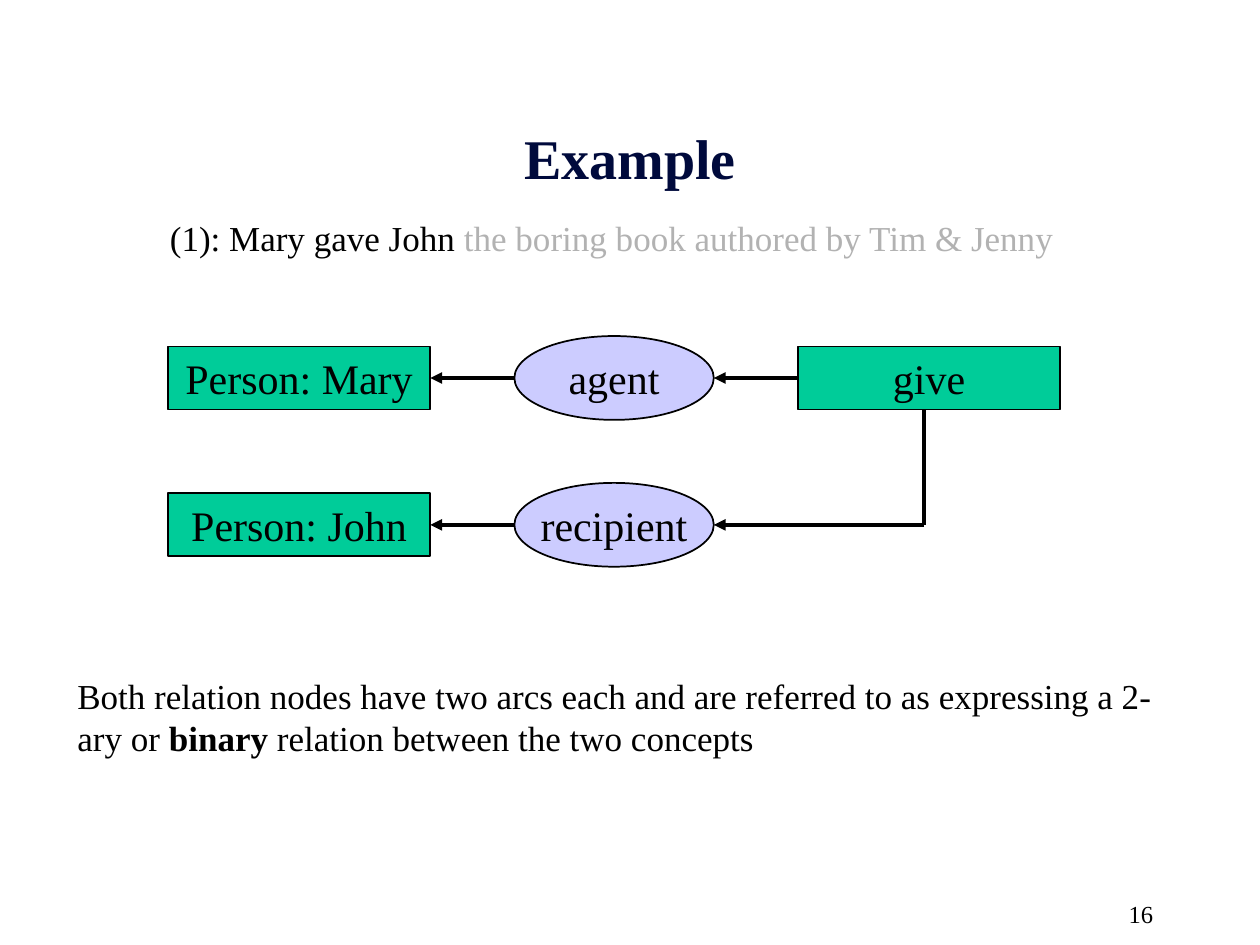
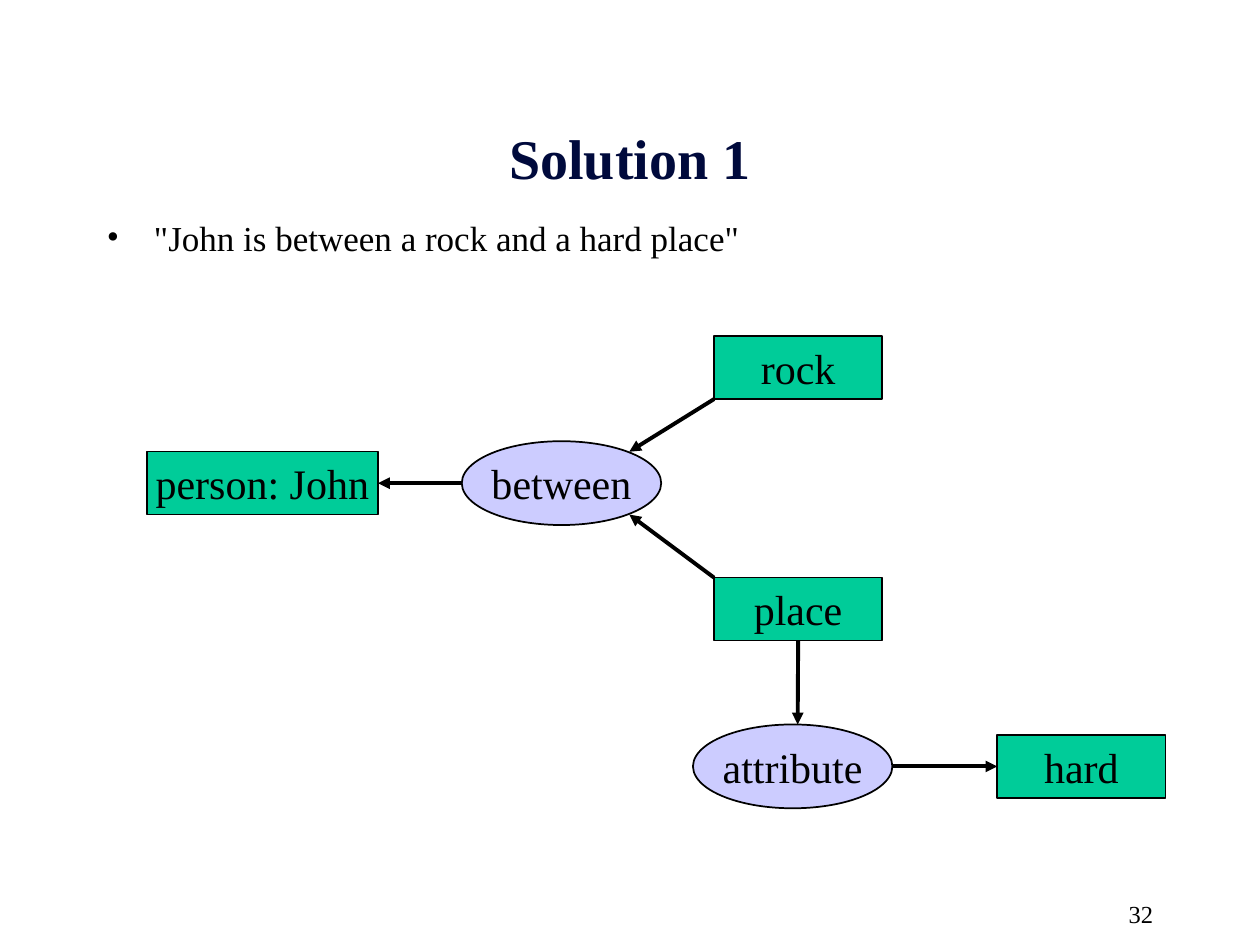
"""Build two slides that draw sentences as conceptual graphs."""
from dataclasses import dataclass

from lxml.etree import SubElement
from pptx import Presentation
from pptx.dml.color import RGBColor
from pptx.enum.shapes import MSO_CONNECTOR as Link, MSO_SHAPE as Preset
from pptx.enum.text import MSO_ANCHOR as Anchor, MSO_AUTO_SIZE as Fit, PP_ALIGN as Align
from pptx.oxml.ns import qn
from pptx.util import Cm, Pt

COLOURS = {
    "ink": "000000",
    "title": "000A3C",
    "muted": "B2B2B2",
    "concept": "00CC99",
    "relation": "CCCCFF",
}
FONT = "Times New Roman"
BODY_LAYOUT = 1
NODE_HEIGHT = 1.27
RELATION_WIDTH, RELATION_HEIGHT = 4.02, 1.69
CORNER = (0.68, 0.75)

Point = tuple[float, float]


@dataclass(frozen=True)
class Span:
    text: str
    colour: str = "ink"
    bold: bool = False


@dataclass(frozen=True)
class Node:
    label: str
    x: float
    y: float
    width: float
    height: float = NODE_HEIGHT
    preset: Preset = Preset.RECTANGLE
    fill: str = "concept"

    def point(self, across: float, down: float) -> Point:
        return self.x + across * self.width / 2, self.y + down * self.height / 2


@dataclass(frozen=True)
class Arc:
    start: Point
    end: Point
    arrow: bool = True


def relation(label: str, x: float, y: float) -> Node:
    return Node(label, x, y, RELATION_WIDTH, RELATION_HEIGHT, Preset.OVAL, "relation")


def rgb(name: str) -> RGBColor:
    return RGBColor.from_string(COLOURS[name])


def write(frame, *spans: Span, size: float, align=Align.LEFT, anchor=Anchor.TOP,
          wrap: bool = True, before: float = 0):
    frame.auto_size = Fit.NONE
    frame.word_wrap = wrap
    frame.vertical_anchor = anchor
    para = frame.paragraphs[0]
    para.alignment = align
    para.space_before = Pt(before)
    for span in spans:
        run = para.add_run()
        run.text = span.text
        run.font.name = FONT
        run.font.size = Pt(size)
        run.font.bold = span.bold
        run.font.color.rgb = rgb(span.colour)
    return para


def place(box, left: float, top: float, width: float, height: float) -> None:
    box.left, box.top, box.width, box.height = map(Cm, (left, top, width, height))


def write_sentence(page, *spans: Span, margin: float, indent: float,
                   level: int = 0, bullet: str = "") -> None:
    body = page.placeholders[1]
    place(body, 1.9, 4.23, 21.6, 13.55)
    para = write(body.text_frame, *spans, size=20, before=5)
    para.level = level
    props = para._p.get_or_add_pPr()
    props.set("marL", str(Cm(margin)))
    props.set("indent", str(Cm(indent)))
    if bullet:
        SubElement(props, qn("a:buFont")).set("typeface", FONT)
        SubElement(props, qn("a:buChar")).set("char", bullet)
    else:
        SubElement(props, qn("a:buNone"))


def add_text(page, *spans: Span, at: tuple[float, float, float, float],
             size: float, align=Align.LEFT) -> None:
    box = page.shapes.add_textbox(*map(Cm, at))
    write(box.text_frame, *spans, size=size, align=align)


def add_page(deck, title: str, number: int):
    page = deck.slides.add_slide(deck.slide_layouts[BODY_LAYOUT])
    heading = page.shapes.title
    place(heading, 1.9, 2.1, 21.6, 2.12)
    write(heading.text_frame, Span(title, "title", True), size=32,
          align=Align.CENTER, anchor=Anchor.MIDDLE)
    add_text(page, Span(str(number)), at=(18.2, 17.99, 5.3, 0.64), size=14,
             align=Align.RIGHT)
    return page


def add_node(page, node: Node) -> None:
    left, top = node.point(-1, -1)
    box = page.shapes.add_shape(
        node.preset, *map(Cm, (left, top, node.width, node.height)))
    box.shadow.inherit = False
    box.fill.solid()
    box.fill.fore_color.rgb = rgb(node.fill)
    box.line.color.rgb = rgb("ink")
    box.line.width = Pt(1)
    write(box.text_frame, Span(node.label), size=24, align=Align.CENTER,
          anchor=Anchor.MIDDLE, wrap=False)


def add_arc(page, arc: Arc) -> None:
    line = page.shapes.add_connector(Link.STRAIGHT, *map(Cm, arc.start + arc.end))
    line.line.color.rgb = rgb("ink")
    line.line.width = Pt(2.25)
    props = line._element.spPr
    if arc.arrow:
        SubElement(props.find(qn("a:ln")), qn("a:tailEnd")).set("type", "triangle")
    SubElement(props, qn("a:effectLst"))


def draw_graph(page, nodes: list[Node], arcs: list[Arc]) -> None:
    for node in nodes:
        add_node(page, node)
    for arc in arcs:
        add_arc(page, arc)


def build_example(deck) -> None:
    page = add_page(deck, "Example", 16)
    write_sentence(page, Span("(1): Mary gave John "),
                   Span("the boring book authored by Tim & Jenny", "muted"),
                   margin=2.06, indent=-0.79, level=1)
    person_x, relation_x, verb_x = (6.03 + 6.35 * column for column in range(3))
    agent_y, recipient_y = 7.62, 10.58
    mary = Node("Person: Mary", person_x, agent_y, 5.29)
    agent = relation("agent", relation_x, agent_y)
    give = Node("give", verb_x, agent_y, 5.29)
    john = Node("Person: John", person_x, recipient_y, 5.29)
    recipient = relation("recipient", relation_x, recipient_y)
    below_give = give.point(-0.04, 1)
    bend = (below_give[0], recipient_y)
    draw_graph(page, [mary, agent, give, john, recipient], [
        Arc(agent.point(-1, 0), mary.point(1, 0)),
        Arc(give.point(-1, 0), agent.point(1, 0)),
        Arc(recipient.point(-1, 0), john.point(1, 0)),
        Arc(bend, recipient.point(1, 0)),
        Arc(below_give, bend, arrow=False),
    ])
    add_text(page,
             Span("Both relation nodes have two arcs each and are referred to "
                  "as expressing a 2-ary or "),
             Span("binary", bold=True),
             Span(" relation between the two concepts"),
             at=(1.31, 13.48, 22.8, 1.96), size=20)


def build_solution(deck) -> None:
    page = add_page(deck, "Solution 1", 32)
    write_sentence(page, Span('"John is between a rock and a hard place"'),
                   margin=0.95, indent=-0.95, bullet="•")
    john = Node("person: John", 5.29, 9.74, 4.66)
    rock = Node("rock", 16.09, 7.41, 3.39)
    between = relation("between", 11.32, 9.74)
    spot = Node("place", 16.09, 12.28, 3.39)
    attribute = relation("attribute", 15.98, 15.45)
    hard = Node("hard", 21.8, 15.45, 3.39)
    across, down = CORNER
    draw_graph(page, [john, rock, between, spot, attribute, hard], [
        Arc(between.point(-1, 0), john.point(1, 0)),
        Arc(rock.point(-1, 1), between.point(across, -down)),
        Arc(spot.point(-1, -1), between.point(across, down)),
        Arc(attribute.point(1, 0), hard.point(-1, 0)),
        Arc(spot.point(0, 1), attribute.point(0.05, -1)),
    ])


def main() -> None:
    deck = Presentation()
    deck.slide_width, deck.slide_height = Cm(25.4), Cm(19.05)
    build_example(deck)
    build_solution(deck)
    deck.save("out.pptx")


if __name__ == "__main__":
    main()
